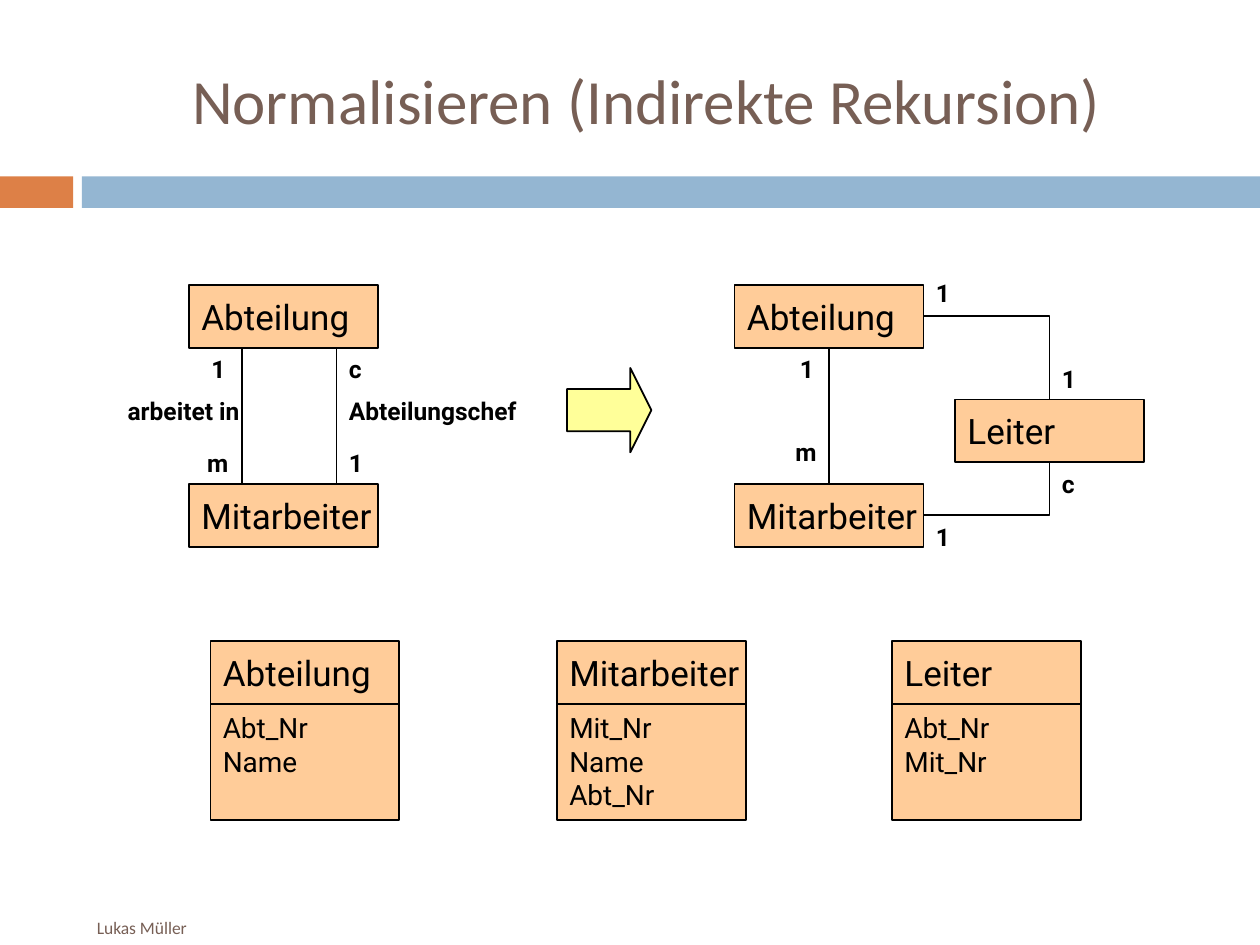
from lxml.etree import SubElement
from pptx import Presentation
from pptx.dml.color import RGBColor
from pptx.enum.shapes import MSO_CONNECTOR as CONNECTOR, MSO_SHAPE as SHAPE
from pptx.enum.text import MSO_ANCHOR as ANCHOR, PP_ALIGN as ALIGN
from pptx.oxml.ns import qn
from pptx.util import Inches, Pt

TITLE = "Normalisieren (Indirekte Rekursion)"
AUTHOR = "Lukas Müller"
BROWN, BLACK, PEACH, YELLOW = "775F55", "000000", "FFCC99", "FFFF99"
BOX_WIDTH, BOX_HEIGHT, FIELDS_HEIGHT = 1.5, 0.5, 0.92
LABEL_HEIGHT = 0.33
TABLE_TOP = 5.09

BARS = [(0, 0.58, "DD8047"), (0.65, 9.35, "94B6D2")]  # left, width, colour
ENTITIES = {  # key: (name, left, top)
    "department before": ("Abteilung", 1.5, 2.26),
    "employee before": ("Mitarbeiter", 1.5, 3.84),
    "department after": ("Abteilung", 5.83, 2.26),
    "employee after": ("Mitarbeiter", 5.83, 3.84),
    "leader": ("Leiter", 7.58, 3.17),
}
TABLES = [  # name, left, fields
    ("Abteilung", 1.67, "Abt_Nr\nName"),
    ("Mitarbeiter", 4.42, "Mit_Nr\nName\nAbt_Nr"),
    ("Leiter", 7.08, "Abt_Nr\nMit_Nr"),
]
LABELS = [  # text, left, top, width, alignment
    ("1", 1.58, 2.76, 0.33, ALIGN.LEFT),
    ("arbeitet in", 0.58, 3.09, 1.42, ALIGN.RIGHT),
    ("m", 1.33, 3.51, 0.58, ALIGN.RIGHT),
    ("c", 2.67, 2.76, 0.33, ALIGN.LEFT),
    ("Abteilungschef", 2.67, 3.09, 1.67, ALIGN.LEFT),
    ("1", 2.67, 3.51, 0.5, ALIGN.LEFT),
    ("1", 6.25, 2.76, 0.33, ALIGN.LEFT),
    ("m", 6, 3.42, 0.58, ALIGN.RIGHT),
    ("1", 7.33, 2.16, 0.33, ALIGN.LEFT),
    ("1", 8.33, 2.84, 0.33, ALIGN.LEFT),
    ("c", 8.33, 3.67, 0.33, ALIGN.LEFT),
    ("1", 7.33, 4.09, 0.5, ALIGN.LEFT),
]
PARALLEL_LINES_X = [1.92, 2.67]

presentation = Presentation()
presentation.slide_width, presentation.slide_height = Inches(10), Inches(7.5)
slide = presentation.slides.add_slide(presentation.slide_layouts[6])


def color(hex_value):
    return RGBColor.from_string(hex_value)


def write(shape, text, size, font="Roboto", fill=BLACK, bold=False,
          align=ALIGN.LEFT, anchor=ANCHOR.MIDDLE, wrap=True):
    frame = shape.text_frame
    frame.text = text
    frame.word_wrap = wrap
    frame.vertical_anchor = anchor
    for paragraph in frame.paragraphs:
        paragraph.alignment = align
        for run in paragraph.runs:
            run.font.name, run.font.size, run.font.bold = font, Pt(size), bold
            run.font.color.rgb = color(fill)


def add_text(left, top, width, height, text, size, **style):
    box = slide.shapes.add_textbox(*map(Inches, (left, top, width, height)))
    write(box, text, size, **style)


def add_shape(kind, left, top, width, height, fill, outlined=True):
    shape = slide.shapes.add_shape(kind, *map(Inches, (left, top, width, height)))
    shape.shadow.inherit = False
    shape.fill.solid()
    shape.fill.fore_color.rgb = color(fill)
    if outlined:
        shape.line.color.rgb = color(BLACK)
        shape.line.width = Pt(1)
    else:
        shape.line.fill.background()
    return shape


def add_box(left, top, height, text, size, anchor=ANCHOR.MIDDLE):
    box = add_shape(SHAPE.RECTANGLE, left, top, BOX_WIDTH, height, PEACH)
    write(box, text, size, anchor=anchor, wrap=False)
    return box


def add_line(kind, begin=(0, 0), end=(0, 0)):
    line = slide.shapes.add_connector(kind, *map(Inches, (*begin, *end)))
    line.line.color.rgb = color(BLACK)
    line.line.width = Pt(1)
    SubElement(line._element.spPr, qn("a:effectLst"))
    return line


def join(kind, start, start_side, target, target_side):
    line = add_line(kind)
    line.begin_connect(start, start_side)
    line.end_connect(target, target_side)
    return line


for left, width, fill in BARS:
    add_shape(SHAPE.RECTANGLE, left, 1.4, width, 0.25, fill, outlined=False)
add_text(0.67, 0.25, 8.92, 1.08, TITLE, 36, font="Calibri", fill=BROWN,
         align=ALIGN.CENTER)
add_text(0.67, 7.22, 1.14, 0.28, AUTHOR, 10, font="Calibri", fill=BROWN)

entities = {key: add_box(left, top, BOX_HEIGHT, name, 20)
            for key, (name, left, top) in ENTITIES.items()}

upper_bottom = ENTITIES["department before"][2] + BOX_HEIGHT
lower_top = ENTITIES["employee before"][2]
for x in PARALLEL_LINES_X:
    add_line(CONNECTOR.STRAIGHT, (x, upper_bottom), (x, lower_top))
join(CONNECTOR.STRAIGHT, entities["department after"], 2,
     entities["employee after"], 0)
for key, leader_side in (("department after", 0), ("employee after", 2)):
    elbow = join(CONNECTOR.ELBOW, entities[key], 3, entities["leader"], leader_side)
    # One bend: out of the side, then straight into the leader box
    elbow._element.spPr.find(qn("a:prstGeom")).set("prst", "bentConnector2")

arrow = add_shape(SHAPE.DOWN_ARROW, 4.5, 2.92, 0.67, 0.67, YELLOW)
arrow.rotation = 270
arrow.adjustments[0], arrow.adjustments[1] = 0.5, 0.25

for text, left, top, width, align in LABELS:
    add_text(left, top, width, LABEL_HEIGHT, text, 14, bold=True, align=align,
             anchor=ANCHOR.TOP)

for name, left, fields in TABLES:
    add_box(left, TABLE_TOP, BOX_HEIGHT, name, 20)
    add_box(left, TABLE_TOP + BOX_HEIGHT, FIELDS_HEIGHT, fields, 16, ANCHOR.TOP)

presentation.save("out.pptx")
